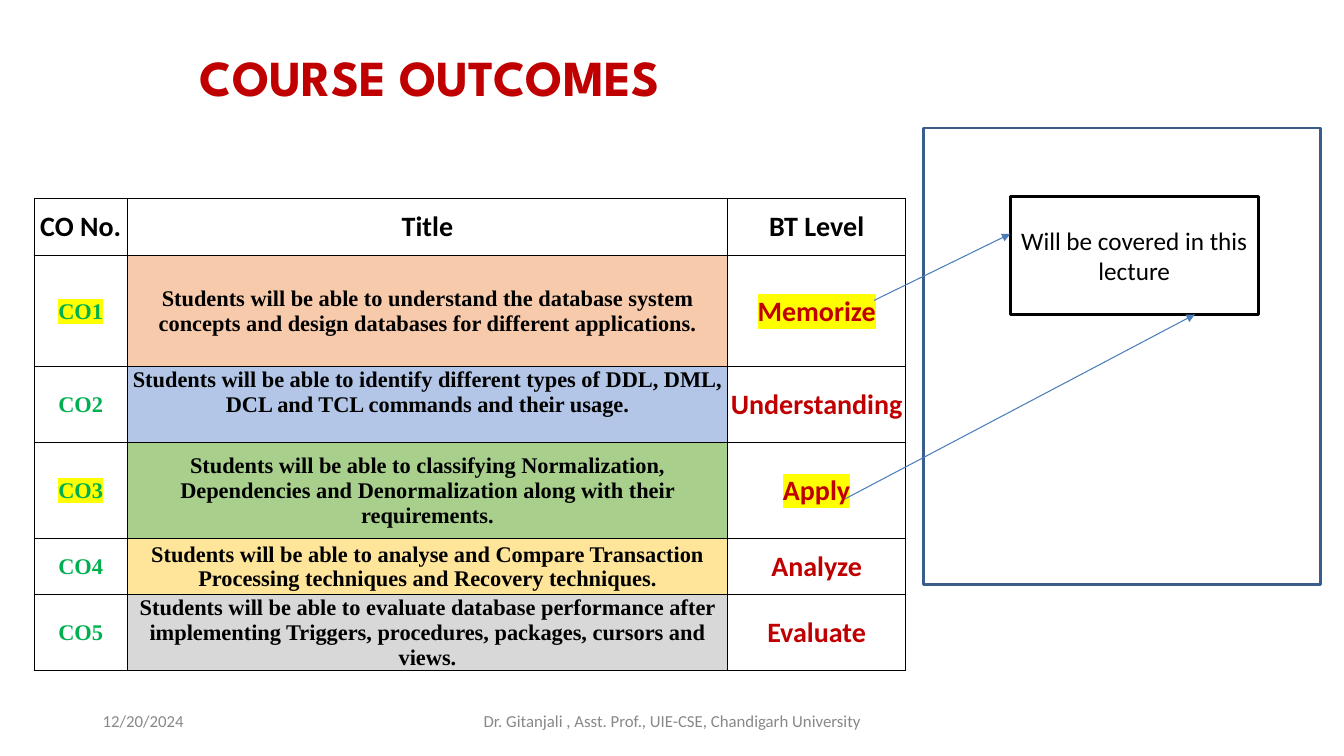
"""Build the course outcomes slide."""
from lxml.etree import SubElement
from pptx import Presentation
from pptx.dml.color import RGBColor
from pptx.enum.shapes import MSO_CONNECTOR as CONN, MSO_SHAPE as SHAPE
from pptx.enum.text import MSO_ANCHOR as ANCHOR, PP_ALIGN as ALIGN
from pptx.oxml.ns import qn
from pptx.util import Inches, Pt

COLORS = {
    "black": "000000", "white": "FFFFFF", "red": "C00000", "green": "00B050",
    "gray": "888888", "frame": "395E89", "arrow": "4A7DBA", "mark": "FFFF00",
    "peach": "F7CAAC", "blue": "B3C6E7", "leaf": "A8D08C", "sand": "FEE599",
    "silver": "D8D8D8",
}
SANS, SERIF = "Calibri", "Times New Roman"
TITLE = "COURSE OUTCOMES"
HEADER = ("CO No.", "Title", "BT Level")
OUTCOMES = [
    ("CO1", "Students will be able to understand the database system concepts "
     "and design databases for different applications.", "Memorize", "peach"),
    ("CO2", "Students will be able to identify different types of DDL, DML, "
     "DCL and TCL commands and their usage.", "Understanding", "blue"),
    ("CO3", "Students will be able to classifying Normalization, Dependencies "
     "and Denormalization along with their requirements.", "Apply", "leaf"),
    ("CO4", "Students will be able to analyse and Compare Transaction "
     "Processing techniques and Recovery techniques.", "Analyze", "sand"),
    ("CO5", "Students will be able to evaluate database performance after "
     "implementing Triggers, procedures, packages, cursors and views.",
     "Evaluate", "silver"),
]
COVERED = {"CO1", "CO3"}
TOP_ALIGNED = {"CO2"}
COL_WIDTHS = (0.92, 5.96, 1.76)
ROW_HEIGHTS = (0.56, 1.11, 0.75, 0.95, 0.56, 0.75)
TABLE_LEFT, TABLE_TOP = 0.34, 1.97
FOOTERS = [
    ("12/20/2024", 0.92, 3, ALIGN.LEFT),
    ("Dr. Gitanjali , Asst. Prof., UIE-CSE, Chandigarh University",
     4.42, 4.5, ALIGN.CENTER),
]
NOTE = "Will be covered in this lecture"
FRAME_BOX = (9.16, 1.27, 3.94, 4.53)
NOTE_BOX = (10.02, 1.95, 2.46, 1.17)
ARROWS = [(8.67, 2.98, 10.02, 2.32), (8.38, 4.95, 11.85, 3.12)]


def rgb(name):
    return RGBColor.from_string(COLORS[name])


def inches(values):
    return [Inches(v) for v in values]


def write(tf, text, size, font, color, bold=False, align=ALIGN.CENTER):
    tf.word_wrap = True
    p = tf.paragraphs[0]
    r = p.add_run()
    r.text = text
    p.alignment = align
    f = p.font
    f.size, f.name, f.bold = Pt(size), font, bold
    f.color.rgb = rgb(color)
    return r


def highlight(r):
    mark = SubElement(r._r.get_or_add_rPr(), qn("a:highlight"))
    SubElement(mark, qn("a:srgbClr"), val=COLORS["mark"])


def fill_cell(cell, text, size, font, color, fill=None, marked=False,
              anchor=ANCHOR.MIDDLE):
    cell.margin_left = cell.margin_right = cell.margin_top = Inches(0.01)
    cell.margin_bottom = 0
    cell.vertical_anchor = anchor
    r = write(cell.text_frame, text, size, font, color, bold=True)
    if marked:
        highlight(r)
    tcPr = cell._tc.get_or_add_tcPr()
    for side in ("lnL", "lnR", "lnT", "lnB"):
        ln = SubElement(tcPr, qn(f"a:{side}"), w=str(Pt(0.75)))
        solid = SubElement(ln, qn("a:solidFill"))
        SubElement(solid, qn("a:srgbClr"), val=COLORS["black"])
    if fill:
        cell.fill.solid()
        cell.fill.fore_color.rgb = rgb(fill)
    else:
        cell.fill.background()


def add_outcomes(s):
    box = (TABLE_LEFT, TABLE_TOP, sum(COL_WIDTHS), sum(ROW_HEIGHTS))
    table = s.shapes.add_table(len(ROW_HEIGHTS), len(COL_WIDTHS),
                               *inches(box)).table
    table.first_row = table.horz_banding = False
    for col, width in zip(table.columns, COL_WIDTHS):
        col.width = Inches(width)
    for row, height in zip(table.rows, ROW_HEIGHTS):
        row.height = Inches(height)
    for c, text in enumerate(HEADER):
        fill_cell(table.cell(0, c), text, 20, SANS, "black")
    for i, (code, text, level, fill) in enumerate(OUTCOMES, 1):
        marked = code in COVERED
        anchor = ANCHOR.TOP if code in TOP_ALIGNED else ANCHOR.MIDDLE
        fill_cell(table.cell(i, 0), code, 16, SERIF, "green", marked=marked)
        fill_cell(table.cell(i, 1), text, 16, SERIF, "black", fill,
                  anchor=anchor)
        fill_cell(table.cell(i, 2), level, 20, SANS, "red", marked=marked)


def add_box(s, box, line):
    sp = s.shapes.add_shape(SHAPE.RECTANGLE, *inches(box))
    sp.shadow.inherit = False
    sp.fill.background()
    sp.line.color.rgb = rgb(line)
    sp.line.width = Pt(2)
    return sp


def add_arrow(s, ends):
    cx = s.shapes.add_connector(CONN.STRAIGHT, *inches(ends))
    cx.line.color.rgb = rgb("arrow")
    cx.line.width = Pt(0.75)
    SubElement(cx.line._get_or_add_ln(), qn("a:tailEnd"), type="triangle")
    SubElement(cx._element.spPr, qn("a:effectLst"))


def main():
    prs = Presentation()
    prs.slide_width, prs.slide_height = inches((13.33, 7.5))
    s = prs.slides.add_slide(prs.slide_layouts[5])

    title = s.shapes.title
    title.left, title.top, title.width, title.height = inches(
        (1.88, 0.41, 8.62, 0.71))
    tf = title.text_frame
    tf.vertical_anchor = ANCHOR.BOTTOM
    write(tf, TITLE, 36, "League Spartan", "red", True, ALIGN.LEFT)
    tf.paragraphs[0].line_spacing = 0.9

    add_outcomes(s)
    for text, left, width, align in FOOTERS:
        sp = s.shapes.add_textbox(*inches((left, 6.95, width, 0.4)))
        sp.text_frame.vertical_anchor = ANCHOR.MIDDLE
        write(sp.text_frame, text, 12, SANS, "gray", align=align)

    add_box(s, FRAME_BOX, "frame")
    note = add_box(s, NOTE_BOX, "black")
    note.fill.solid()
    note.fill.fore_color.rgb = rgb("white")
    note.text_frame.vertical_anchor = ANCHOR.MIDDLE
    write(note.text_frame, NOTE, 18, SANS, "black")
    for ends in ARROWS:
        add_arrow(s, ends)
    prs.save("out.pptx")


if __name__ == "__main__":
    main()
